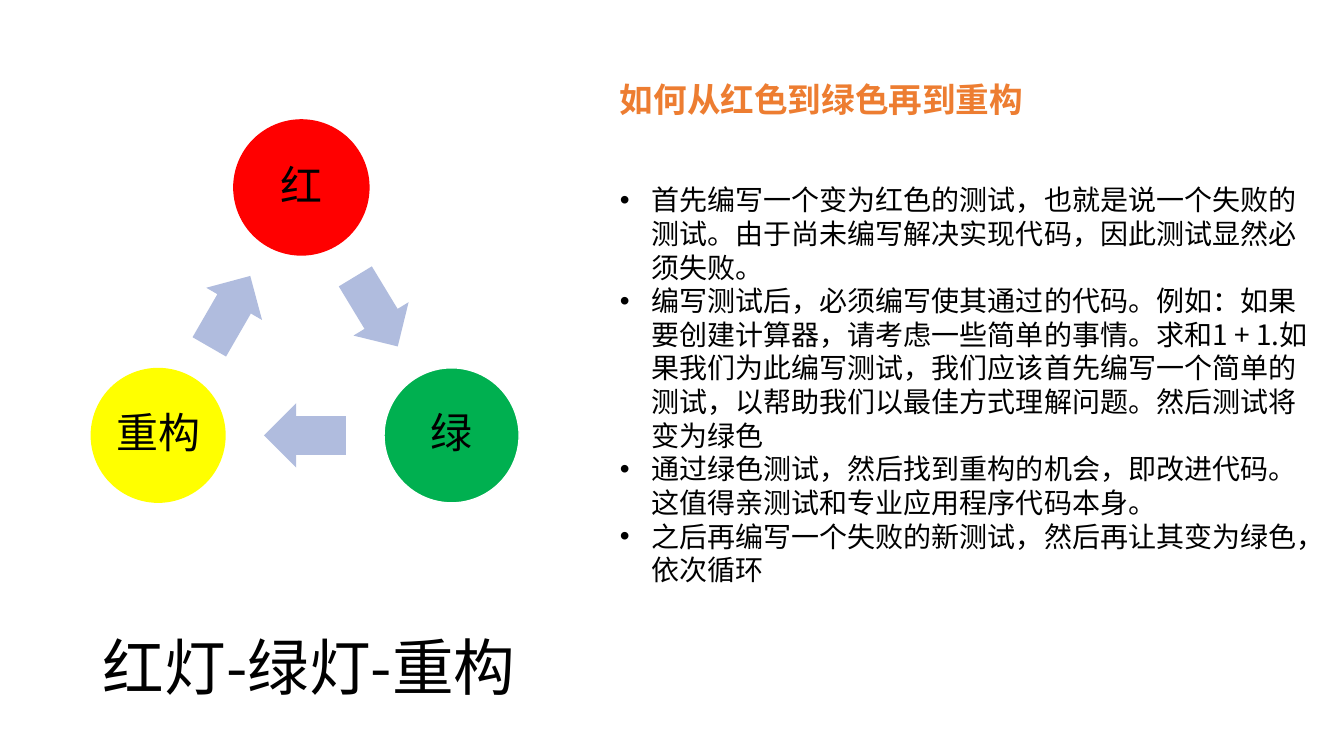
from itertools import pairwise
from math import atan2, degrees

from lxml.etree import SubElement
from pptx import Presentation
from pptx.dml.color import RGBColor
from pptx.enum.shapes import MSO_SHAPE
from pptx.enum.text import MSO_ANCHOR, MSO_AUTO_SIZE, PP_ALIGN
from pptx.oxml.ns import qn
from pptx.util import Pt

FONT = "Noto Sans CJK SC"
DIAMETER = 96.5
ARROW_WIDTH, ARROW_HEIGHT = 58.5, 46
HANGING = 22.5

STAGES = [
    # label, centre x, centre y, fill, line
    ("红", 215.3, 133.9, "FF0000", "FF0000"),
    ("绿", 322.6, 311, "00B050", "FFFFFF"),
    ("重构", 113, 311, "FFFF00", None),
]

STEPS = [
    "首先编写一个变为红色的测试，也就是说一个失败的测试。由于尚未编写解决实现代码，"
    "因此测试显然必须失败。",
    "编写测试后，必须编写使其通过的代码。例如：如果要创建计算器，请考虑一些简单的事情。"
    "求和1 + 1.如果我们为此编写测试，我们应该首先编写一个简单的测试，"
    "以帮助我们以最佳方式理解问题。然后测试将变为绿色",
    "通过绿色测试，然后找到重构的机会，即改进代码。这值得亲测试和专业应用程序代码本身。",
    "之后再编写一个失败的新测试，然后再让其变为绿色，依次循环",
]


def color(value):
    return RGBColor.from_string(value)


def apply(target, values):
    for name, value in values.items():
        setattr(target, name, value)


def place(shape, left, top, width, height):
    apply(shape, {"left": Pt(left), "top": Pt(top),
                  "width": Pt(width), "height": Pt(height)})


def write(para, text, size, tint="000000", bold=False, **layout):
    """Add one run to the paragraph and set the paragraph's layout."""
    span = para.add_run()
    span.text = text
    apply(span.font, {"name": FONT, "size": Pt(size), "bold": bold})
    span.font.color.rgb = color(tint)
    SubElement(span.font._element, qn("a:ea"), typeface=FONT)
    apply(para, {"space_before": Pt(0), "space_after": Pt(0)} | layout)


def set_bullet(para, char=None):
    """Hang the paragraph behind a bullet, or clear its bullet and indent."""
    indent = Pt(HANGING) if char else 0
    props = para._p.get_or_add_pPr()
    props.set("marL", str(indent))
    props.set("indent", str(-indent))
    if char:
        SubElement(props, qn("a:buFont"), typeface="Arial")
        SubElement(props, qn("a:buChar"), char=char)
    else:
        SubElement(props, qn("a:buNone"))


def add_filled(page, kind, x, y, width, height, fill, line=None):
    """Add a flat shape centred on x, y."""
    shape = page.shapes.add_shape(kind, Pt(x - width / 2), Pt(y - height / 2),
                                  Pt(width), Pt(height))
    shape.shadow.inherit = False
    shape.fill.solid()
    shape.fill.fore_color.rgb = color(fill)
    if line:
        shape.line.color.rgb = color(line)
        shape.line.width = Pt(1)
    else:
        shape.line.fill.background()
    return shape


def add_stage(page, label, x, y, fill, line):
    circle = add_filled(page, MSO_SHAPE.OVAL, x, y, DIAMETER, DIAMETER, fill, line)
    frame = circle.text_frame
    apply(frame, {"margin_left": 0, "margin_right": 0, "margin_top": 0,
                  "margin_bottom": 0, "vertical_anchor": MSO_ANCHOR.MIDDLE})
    write(frame.paragraphs[0], label, 30,
          alignment=PP_ALIGN.CENTER, line_spacing=0.9)


def add_arrow(page, start, end):
    """Add a block arrow halfway between two stages."""
    (_, x1, y1, *_), (_, x2, y2, *_) = start, end
    arrow = add_filled(page, MSO_SHAPE.RIGHT_ARROW, (x1 + x2) / 2, (y1 + y2) / 2,
                       ARROW_WIDTH, ARROW_HEIGHT, "B0BCDE")
    arrow.adjustments[0] = 0.6
    arrow.rotation = degrees(atan2(y2 - y1, x2 - x1)) % 360


def fill_title(title):
    place(title, 66.2, 435.6, 607.7, 86.4)
    apply(title.text_frame, {"word_wrap": True, "auto_size": MSO_AUTO_SIZE.NONE,
                             "vertical_anchor": MSO_ANCHOR.MIDDLE})
    write(title.text_frame.paragraphs[0], "红灯-绿灯-重构", 44,
          alignment=PP_ALIGN.LEFT, line_spacing=0.9)


def fill_body(body):
    place(body, 435.6, 52.6, 514.1, 378)
    frame = body.text_frame
    apply(frame, {"word_wrap": True, "auto_size": MSO_AUTO_SIZE.NONE,
                  "vertical_anchor": MSO_ANCHOR.TOP})
    heading = frame.paragraphs[0]
    set_bullet(heading)
    write(heading, "如何从红色到绿色再到重构", 24, "ED7D31", True,
          line_spacing=Pt(28.8), space_after=Pt(45.6))
    for step in STEPS:
        para = frame.add_paragraph()
        set_bullet(para, "•")
        write(para, step, 20, line_spacing=Pt(24))


def main():
    deck = Presentation()
    apply(deck, {"slide_width": Pt(960), "slide_height": Pt(540)})
    page = deck.slides.add_slide(deck.slide_layouts[1])
    fill_title(page.shapes.title)
    fill_body(page.placeholders[1])
    for stage in STAGES:
        add_stage(page, *stage)
    for start, end in pairwise(STAGES + STAGES[:1]):
        add_arrow(page, start, end)
    deck.save("out.pptx")


if __name__ == "__main__":
    main()
